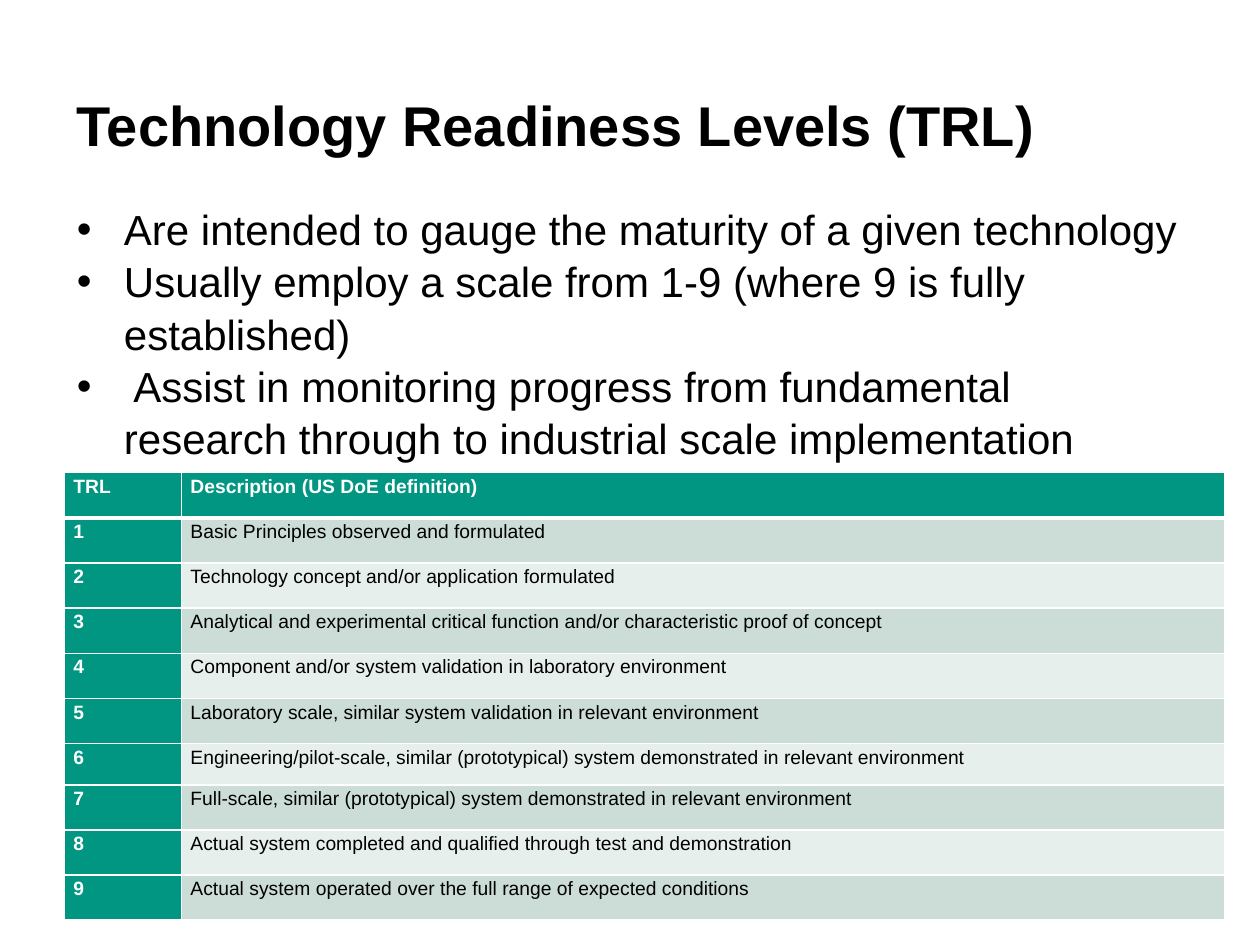
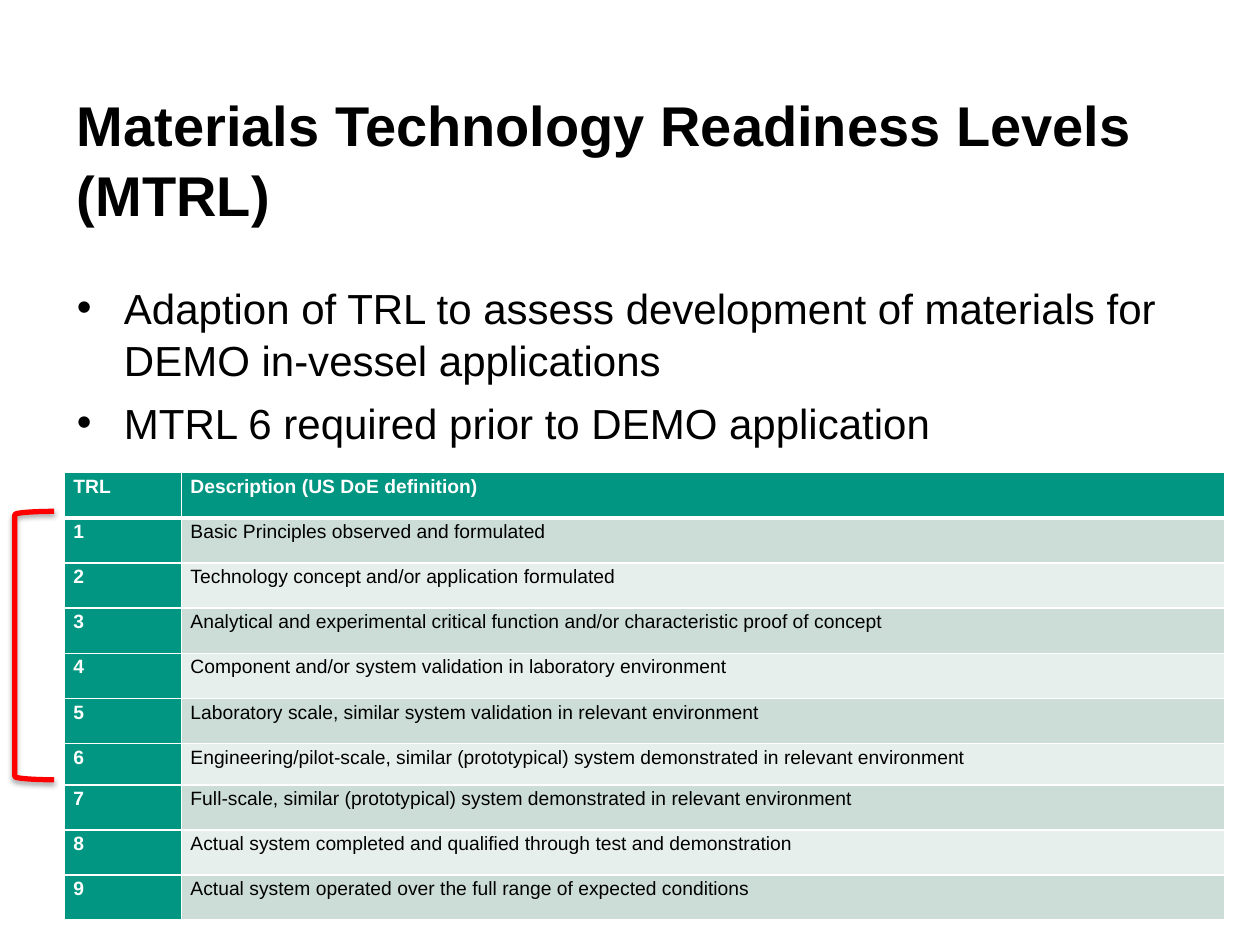
"""Build two slides on technology readiness levels and their use for materials."""
from lxml import etree
from pptx import Presentation
from pptx.dml.color import RGBColor
from pptx.enum import shapes, text
from pptx.oxml import ns
from pptx.util import Cm, Pt

BLACK = RGBColor(0x00, 0x00, 0x00)
WHITE = RGBColor(0xFF, 0xFF, 0xFF)
GREEN = RGBColor(0x00, 0x96, 0x82)
BANDS = [RGBColor(0xE7, 0xEF, 0xED), RGBColor(0xCC, 0xDD, 0xD8)]
RED = RGBColor(0xFF, 0x00, 0x00)
FONT = "Arial"

LEVELS = [
    "Basic Principles observed and formulated",
    "Technology concept and/or application formulated",
    "Analytical and experimental critical function and/or characteristic proof of concept",
    "Component and/or system validation in laboratory environment",
    "Laboratory scale, similar system validation in relevant environment",
    "Engineering/pilot-scale, similar (prototypical) system demonstrated in relevant environment",
    "Full-scale, similar (prototypical) system demonstrated in relevant environment",
    "Actual system completed and qualified through test and demonstration",
    "Actual system operated over the full range of expected conditions",
]
ROWS = [("TRL", "Description (US DoE definition)")]
ROWS += [(str(number), level) for number, level in enumerate(LEVELS, 1)]

TOPICS = [
    ("Technology Readiness Levels (TRL)", 8.64, 25, 0, [
        "Are intended to gauge the maturity of a given technology",
        "Usually employ a scale from 1-9 (where 9 is fully established)",
        " Assist in monitoring progress from fundamental research through to industrial scale implementation",
    ]),
    ("Materials Technology Readiness Levels (MTRL)", 7.32, 30, 6, [
        "Adaption of TRL to assess development of materials for DEMO in-vessel applications",
        "MTRL 6 required prior to DEMO application",
    ]),
]


def style(paragraph, size, color, bold, spacing, after):
    paragraph.line_spacing = spacing
    paragraph.space_after = Pt(after)
    for run in paragraph.runs:
        run.font.name = FONT
        run.font.size = Pt(size)
        run.font.bold = bold
        run.font.color.rgb = color


def add_child(parent, tag, **attributes):
    return etree.SubElement(parent, ns.qn(tag), attributes)


prs = Presentation()
prs.slide_width, prs.slide_height = Cm(25.4), Cm(19.05)

for heading, height, heading_gap, point_gap, points in TOPICS:
    slide = prs.slides.add_slide(prs.slide_layouts[6])

    message = slide.shapes.add_textbox(Cm(1.3), Cm(1.53), Cm(22.8), Cm(height)).text_frame
    message.word_wrap = True
    message.auto_size = text.MSO_AUTO_SIZE.SHAPE_TO_FIT_TEXT
    message.margin_top = Cm(0.24)
    message.text = "\n".join([heading, *points])
    style(message.paragraphs[0], 32, BLACK, True, 1.04, heading_gap)
    for point in message.paragraphs[1:]:
        style(point, 24, BLACK, False, 1.04, point_gap)
        properties = point._p.get_or_add_pPr()
        properties.set("marL", str(Cm(0.95)))
        properties.set("indent", str(Cm(-0.95)))
        add_child(properties, "a:buFont", typeface=FONT)
        add_child(properties, "a:buChar", char="•")

    levels = slide.shapes.add_table(
        len(ROWS), 2, Cm(1.3), Cm(9.53), Cm(23.39), Cm(9.05)).table
    levels.first_row = levels.horz_banding = False
    levels.columns[0].width, levels.columns[1].width = Cm(2.36), Cm(21.03)
    for r, row in enumerate(ROWS):
        levels.rows[r].height = Cm(0.83 if r == 6 else 0.91)
        for c, wording in enumerate(row):
            cell = levels.cell(r, c)
            cell.margin_left = cell.margin_right = Cm(0.18)
            cell.margin_top = cell.margin_bottom = 0
            strong = r == 0 or c == 0
            cell.text_frame.text = wording
            style(cell.text_frame.paragraphs[0], 11, WHITE if strong else BLACK, strong, 1.15, 10)
            for side in "LRTB":
                thick = (r, side) in [(0, "B"), (1, "T")]
                border = add_child(cell._tc.get_or_add_tcPr(), f"a:ln{side}",
                                   w=str(Pt(3 if thick else 1)))
                add_child(add_child(border, "a:solidFill"), "a:srgbClr", val=str(WHITE))
            cell.fill.solid()
            cell.fill.fore_color.rgb = GREEN if strong else BANDS[r % 2]

required = slide.shapes.add_shape(
    shapes.MSO_SHAPE.LEFT_BRACKET, Cm(0.3), Cm(10.31), Cm(0.79), Cm(5.41))
required.fill.background()
required.line.color.rgb = RED
required.line.width = Pt(3)
required.shadow.inherit = False
effects = required._element.spPr.find(ns.qn("a:effectLst"))
shadow = add_child(effects, "a:outerShdw", blurRad=str(Pt(3.1)), dist=str(Pt(1.8)),
                   dir="5400000", rotWithShape="0")
add_child(add_child(shadow, "a:srgbClr", val=str(BLACK)), "a:alpha", val="35000")

prs.save("out.pptx")
